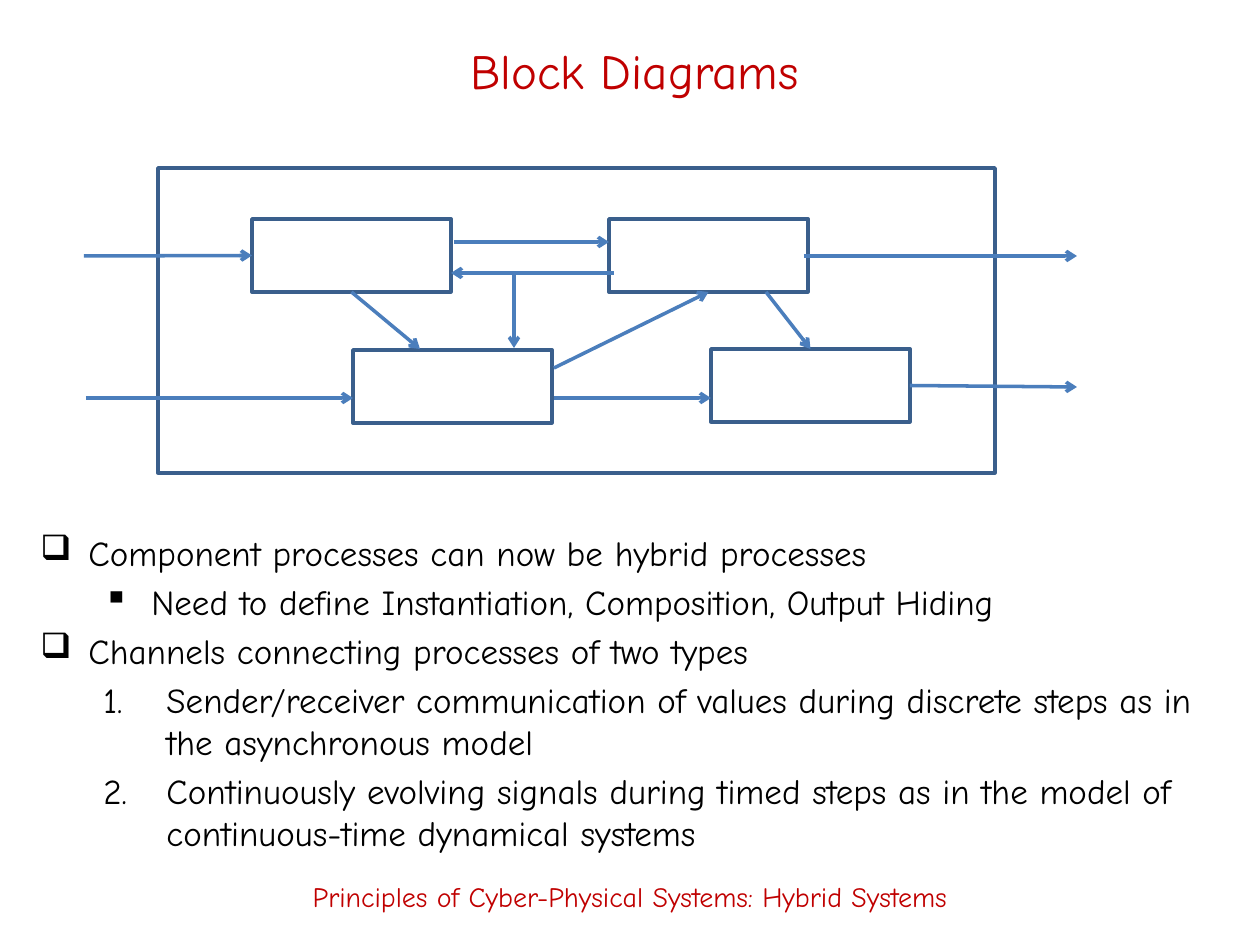
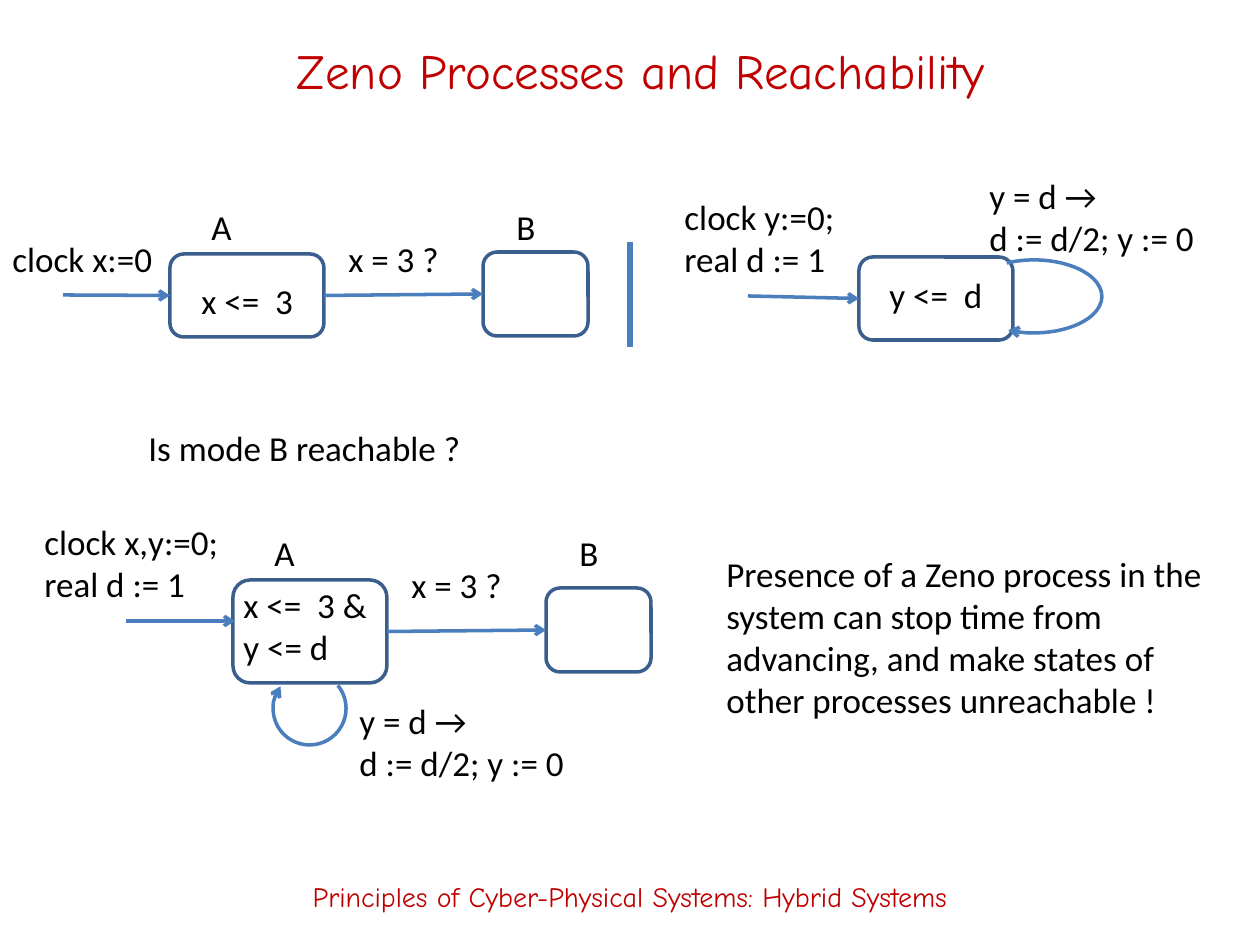
from lxml import etree
from pptx import Presentation
from pptx.dml.color import RGBColor
from pptx.enum import shapes, text
from pptx.oxml import ns
from pptx.util import Pt

PX = 914400 / 126
WIDTH, HEIGHT = 1260, 945
RED = RGBColor(0xC0, 0x00, 0x00)
BLACK = RGBColor(0x00, 0x00, 0x00)
OUTLINE = RGBColor(0x3A, 0x5F, 0x8C)
ARROW = RGBColor(0x4B, 0x7E, 0xBC)
HAND, SANS = "Comic Neue", "Calibri"
RECT = shapes.MSO_SHAPE.RECTANGLE
ROUND = shapes.MSO_SHAPE.ROUNDED_RECTANGLE
FOOTER = "Principles of Cyber-Physical Systems: Hybrid Systems"
RESET = "y = d →\nd := d/2; y := 0"


def px(n):
    return round(n * PX)


def shift(origin, x, y, *size):
    return (origin[0] + x, origin[1] + y, *size)


def child(parent, tag, **attrs):
    return etree.SubElement(parent, ns.qn(tag), attrs)


def format_paragraph(p, size, font, color, align):
    p.alignment = align
    p.font.size = Pt(size)
    p.font.name = font
    p.font.color.rgb = color


def add_text(s, box, content, size=20, font=SANS, color=BLACK, wrap=False,
             align=text.PP_ALIGN.LEFT, anchor=text.MSO_ANCHOR.TOP, bullets=None):
    tf = s.shapes.add_textbox(*map(px, box)).text_frame
    tf.word_wrap = wrap
    tf.vertical_anchor = anchor
    for i, line in enumerate(content.split("\n")):
        p = tf.paragraphs[0] if i == 0 else tf.add_paragraph()
        p.add_run().text = line
        if bullets:
            add_bullet(p, *bullets[i])
            p.space_before = Pt(4 if i else 0)
        format_paragraph(p, size, font, color, align)


def add_bullet(p, mark, level, left, hang):
    p.level = level
    pPr = p._p.get_or_add_pPr()
    pPr.set("marL", str(px(left)))
    pPr.set("indent", str(-px(hang)))
    if mark == "1.":
        child(pPr, "a:buAutoNum", type="arabicPeriod")
    else:
        child(pPr, "a:buChar", char=mark)


def style_line(sp, color, width=2, arrow=False):
    sp.line.color.rgb = color
    sp.line.width = Pt(width)
    if arrow:
        child(sp.line._get_or_add_ln(), "a:tailEnd", type="arrow")


def add_block(s, box, kind=RECT):
    sp = s.shapes.add_shape(kind, *map(px, box))
    sp.shadow.inherit = False
    sp.fill.background()
    style_line(sp, OUTLINE)
    return sp


def add_loop(s, box, rotation=0):
    sp = s.shapes.add_shape(shapes.MSO_SHAPE.ARC, *map(px, box))
    sp.adjustments[0], sp.adjustments[1] = 138.61, 76.33
    sp.rotation = rotation
    sp.shadow.inherit = False
    sp.fill.background()
    style_line(sp, ARROW, arrow=True)


def add_link(s, origin, start, end, width=2, arrow=True):
    points = [shift(origin, *e) if isinstance(e[0], int) else origin for e in (start, end)]
    cx = s.shapes.add_connector(shapes.MSO_CONNECTOR.STRAIGHT,
                                *(px(n) for point in points for n in point))
    if not isinstance(start[0], int):
        cx.begin_connect(*start)
    if not isinstance(end[0], int):
        cx.end_connect(*end)
    style_line(cx, ARROW, width, arrow)
    child(cx._element.spPr, "a:effectLst")


def add_frame(prs, title, title_box):
    s = prs.slides.add_slide(prs.slide_layouts[6])
    style = dict(font=HAND, color=RED, wrap=True, align=text.PP_ALIGN.CENTER,
                 anchor=text.MSO_ANCHOR.MIDDLE)
    add_text(s, title_box, title, size=28, **style)
    add_text(s, (0, 847, WIDTH, 98), FOOTER, size=16, **style)
    return s


def draw_block_diagram(s, box):
    def block(x, y):
        return add_block(s, shift(box, x, y, 199, 73))

    top_left, top_right = block(94, 51), block(451, 51)
    low_left, low_right = block(195, 182), block(553, 181)
    add_block(s, box)
    links = [
        ((-74, 88), (top_left, 1)),
        ((-72, 230), (195, 230)),
        ((296, 74), (451, 74)),
        ((396, 230), (553, 230)),
        ((456, 105), (293, 105)),
        ((top_left, 2), (262, 181)),
        ((396, 200), (top_right, 2)),
        ((608, 124), (low_right, 0)),
        ((646, 88), (919, 88)),
        ((low_right, 3), (919, 219)),
        ((356, 105), (356, 180)),
    ]
    for start, end in links:
        add_link(s, box[:2], start, end)


def draw_notes(s, box):
    square, dash, number = ("❑", 0, 48, 48), ("▪", 1, 111, 48), ("1.", 1, 126, 63)
    notes = [
        (square, "Component processes can now be hybrid processes"),
        (dash, "Need to define Instantiation, Composition, Output Hiding"),
        (square, "Channels connecting processes of two types"),
        (number, "Sender/receiver communication of values during discrete steps"
                 " as in the asynchronous model"),
        (number, "Continuously evolving signals during timed steps as in the model"
                 " of continuous-time dynamical systems"),
    ]
    add_text(s, box, "\n".join(line for _, line in notes), font=HAND, wrap=True,
             bullets=[bullet for bullet, _ in notes])


def draw_two_modes(s, origin, mode_height):
    mode_a = add_block(s, shift(origin, 107, 55, 154, mode_height), ROUND)
    mode_b = add_block(s, shift(origin, 420, 53 + (mode_height - 83) // 2, 105, 84), ROUND)
    add_link(s, origin, (mode_a, 3), (mode_b, 1))
    for x, y, width, label in ((136, 0, 45, "A"), (441, 0, 44, "B"), (273, 32, 116, "x = 3 ?")):
        add_text(s, shift(origin, x, y, width, 55), label)
    return mode_a


def draw_timer(s, origin):
    mode_a = draw_two_modes(s, origin, 83)
    add_link(s, origin, (0, 96), (mode_a, 1))
    add_text(s, shift(origin, -63, 32, 175, 55), "clock x:=0")
    add_text(s, shift(origin, 126, 74, 117, 55), "x <=  3")


def draw_zeno(s, origin):
    mode = add_block(s, shift(origin, 187, 89, 154, 83), ROUND)
    add_link(s, origin, (76, 128), (mode, 1))
    add_text(s, shift(origin, 0, 21, 185, 97), "clock y:=0;\nreal d := 1")
    add_text(s, shift(origin, 205, 99, 120, 55), "y <=  d")
    add_loop(s, shift(origin, 294, 92, 136, 73))
    add_text(s, shift(origin, 305, 0, 232, 97), RESET)


def draw_composition(s, origin):
    draw_two_modes(s, origin, 103)
    add_link(s, origin, (0, 96), (109, 96))
    add_text(s, shift(origin, -94, -11, 200, 97), "clock x,y:=0;\nreal d := 1")
    add_text(s, shift(origin, 105, 52, 150, 97), "x <=  3 &\ny <= d")
    add_loop(s, shift(origin, 147, 147, 73, 73), rotation=90)
    add_text(s, shift(origin, 221, 168, 232, 97), RESET)


def build_block_slide(prs):
    s = add_frame(prs, "Block Diagrams", (94, 21, 1081, 98))
    draw_block_diagram(s, (158, 168, 837, 305))
    draw_notes(s, (28, 525, 1218, 346))


def build_zeno_slide(prs):
    s = add_frame(prs, "Zeno Processes and Reachability", (84, 21, 1113, 98))
    draw_timer(s, (63, 199))
    add_link(s, (630, 242), (0, 0), (0, 105), width=3, arrow=False)
    draw_zeno(s, (672, 168))
    add_text(s, (136, 420, 348, 55), "Is mode B reachable ?")
    draw_composition(s, (126, 525))
    add_text(s, (714, 546, 514, 183),
             "Presence of a Zeno process in the system can stop time from advancing,"
             " and make states of other processes unreachable !", wrap=True)


def main():
    prs = Presentation()
    prs.slide_width, prs.slide_height = px(WIDTH), px(HEIGHT)
    build_block_slide(prs)
    build_zeno_slide(prs)
    prs.save("out.pptx")


if __name__ == "__main__":
    main()
